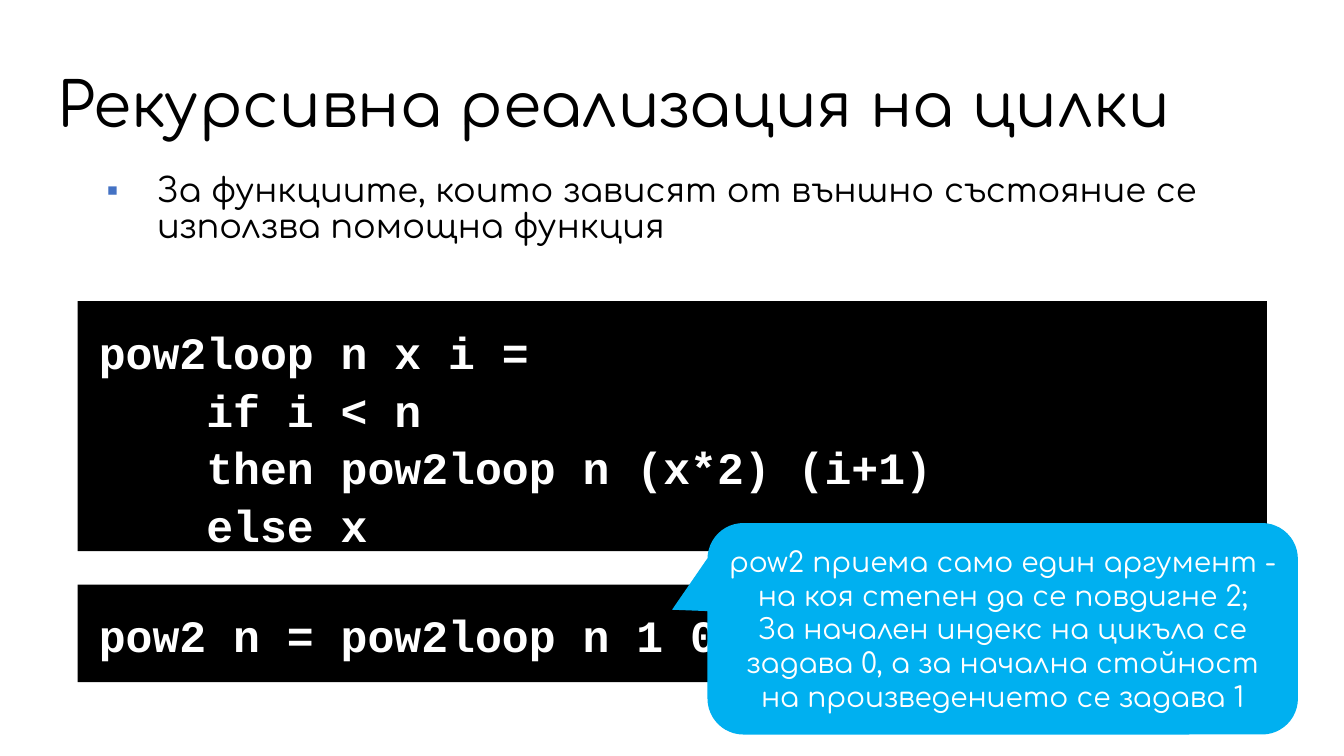
from dataclasses import dataclass

from lxml import etree
from pptx import Presentation
from pptx.dml.color import RGBColor
from pptx.enum.shapes import MSO_SHAPE
from pptx.enum.text import MSO_ANCHOR, MSO_AUTO_SIZE, PP_ALIGN
from pptx.oxml.ns import qn
from pptx.shapes.autoshape import Shape
from pptx.slide import Slide
from pptx.util import Cm, Pt

RECTANGLE = MSO_SHAPE.RECTANGLE
CALLOUT = MSO_SHAPE.ROUNDED_RECTANGULAR_CALLOUT
LEFT, CENTER = PP_ALIGN.LEFT, PP_ALIGN.CENTER
TOP, MIDDLE = MSO_ANCHOR.TOP, MSO_ANCHOR.MIDDLE
NO_FIT = MSO_AUTO_SIZE.NONE

BLACK, WHITE, SKY, BULLET_BLUE = "000000", "FFFFFF", "00B0F0", "4472C4"
HEADING_FONT, CODE_FONT = "Comfortaa", "Courier New"
MARGIN, CONTENT_WIDTH = 1.96, 29.97
CODE_INDENT = 2.71


@dataclass(frozen=True)
class TextStyle:
    """Font, paragraph and frame format of one element."""

    font: str
    size: float
    color: str
    bold: bool = False
    align: PP_ALIGN = LEFT
    anchor: MSO_ANCHOR = TOP
    inset_x: float = 0.3
    inset_y: float = 0.1
    spacing: float = 1.0
    before: float = 0


@dataclass(frozen=True)
class Line:
    """One paragraph, with its left indent in centimetres."""

    text: str
    indent: float = 0


@dataclass(frozen=True)
class Panel:
    """A filled shape holding text."""

    preset: MSO_SHAPE
    place: tuple[float, float, float, float]
    fill: str
    style: TextStyle
    lines: tuple[Line, ...]
    adjustments: tuple[float, ...] = ()


TITLE_STYLE = TextStyle(HEADING_FONT, 44, BLACK, anchor=MIDDLE, spacing=0.9)
BODY_STYLE = TextStyle(HEADING_FONT, 24, BLACK, spacing=0.9, before=6.7)
CODE_STYLE = TextStyle(CODE_FONT, 32, WHITE, bold=True, inset_x=0.53, inset_y=0.5,
                       spacing=1.07)
NOTE_STYLE = TextStyle(HEADING_FONT, 20, WHITE, align=CENTER, anchor=MIDDLE,
                       inset_x=0.25, inset_y=0.13)

TITLE = Line("Рекурсивна реализация на цилки")
BODY = Line("За функциите, които зависят от външно състояние се използва помощна функция", 1.7)
PANELS = (
    Panel(RECTANGLE, (MARGIN, 7.59, CONTENT_WIDTH, 6.3), BLACK, CODE_STYLE, (
        Line("pow2loop n x i ="),
        Line("if i < n", CODE_INDENT),
        Line("then pow2loop n (x*2) (i+1)", CODE_INDENT),
        Line("else x", CODE_INDENT),
    )),
    Panel(RECTANGLE, (MARGIN, 14.73, CONTENT_WIDTH, 2.46), BLACK, CODE_STYLE, (
        Line("pow2 n = pow2loop n 1 0"),
    )),
    Panel(CALLOUT, (17.83, 13.18, 14.88, 5.33), SKY, NOTE_STYLE, (
        Line("pow2 приема само един аргумент - на коя степен да се повдигне 2;"),
        Line("За начален индекс на цикъла се задава 0, "
             "а за начална стойност на произведението се задава 1"),
    ), (-0.56, -0.09, 0.17)),
)


def rgb(color: str) -> RGBColor:
    """Turn a hex string into a colour."""
    return RGBColor.from_string(color)


def assign(target: object, values: dict[str, object]) -> None:
    """Set attributes from a dict of format values."""
    for name, value in values.items():
        setattr(target, name, value)


def write(box: Shape, lines: tuple[Line, ...], style: TextStyle) -> None:
    """Fill a box with formatted paragraphs."""
    frame = box.text_frame
    assign(frame, {
        "word_wrap": True, "auto_size": NO_FIT, "vertical_anchor": style.anchor,
        "margin_left": Cm(style.inset_x), "margin_right": Cm(style.inset_x),
        "margin_top": Cm(style.inset_y), "margin_bottom": Cm(style.inset_y),
    })
    for index, line in enumerate(lines):
        para = frame.add_paragraph() if index else frame.paragraphs[0]
        assign(para, {"alignment": style.align, "line_spacing": style.spacing,
                      "space_before": Pt(style.before)})
        if line.indent:
            para._p.get_or_add_pPr().set("marL", str(Cm(line.indent)))
        span = para.add_run()
        span.text = line.text
        assign(span.font, {"name": style.font, "size": Pt(style.size), "bold": style.bold})
        span.font.color.rgb = rgb(style.color)


def move(box: Shape, place: tuple[float, float, float, float]) -> None:
    """Place a box by left, top, width and height in centimetres."""
    assign(box, dict(zip(("left", "top", "width", "height"), map(Cm, place))))


def add_bullet(box: Shape, hanging: float) -> None:
    """Give the first paragraph a small square bullet."""
    properties = box.text_frame.paragraphs[0]._p.get_or_add_pPr()
    properties.set("indent", str(-Cm(hanging)))
    color = etree.SubElement(properties, qn("a:buClr"))
    etree.SubElement(color, qn("a:srgbClr"), val=BULLET_BLUE)
    etree.SubElement(properties, qn("a:buFont"), typeface="Arial")
    etree.SubElement(properties, qn("a:buChar"), char="▪")


def add_panel(page: Slide, panel: Panel) -> None:
    """Draw one filled shape with its text."""
    box = page.shapes.add_shape(panel.preset, *map(Cm, panel.place))
    box.shadow.inherit = False
    box.fill.solid()
    box.fill.fore_color.rgb = rgb(panel.fill)
    box.line.fill.background()
    for index, value in enumerate(panel.adjustments):
        box.adjustments[index] = value
    write(box, panel.lines, panel.style)


def main() -> None:
    """Build and save the slide."""
    deck = Presentation()
    assign(deck, {"slide_width": Cm(33.87), "slide_height": Cm(19.05)})
    page = deck.slides.add_slide(deck.slide_layouts[1])
    title, body = page.shapes.title, page.placeholders[1]
    move(title, (1.14, 1.65, 31.55, 2.13))
    write(title, (TITLE,), TITLE_STYLE)
    move(body, (MARGIN, 4.27, CONTENT_WIDTH, 2.9))
    write(body, (BODY,), BODY_STYLE)
    add_bullet(body, 1.27)
    for panel in PANELS:
        add_panel(page, panel)
    deck.save("out.pptx")


if __name__ == "__main__":
    main()
